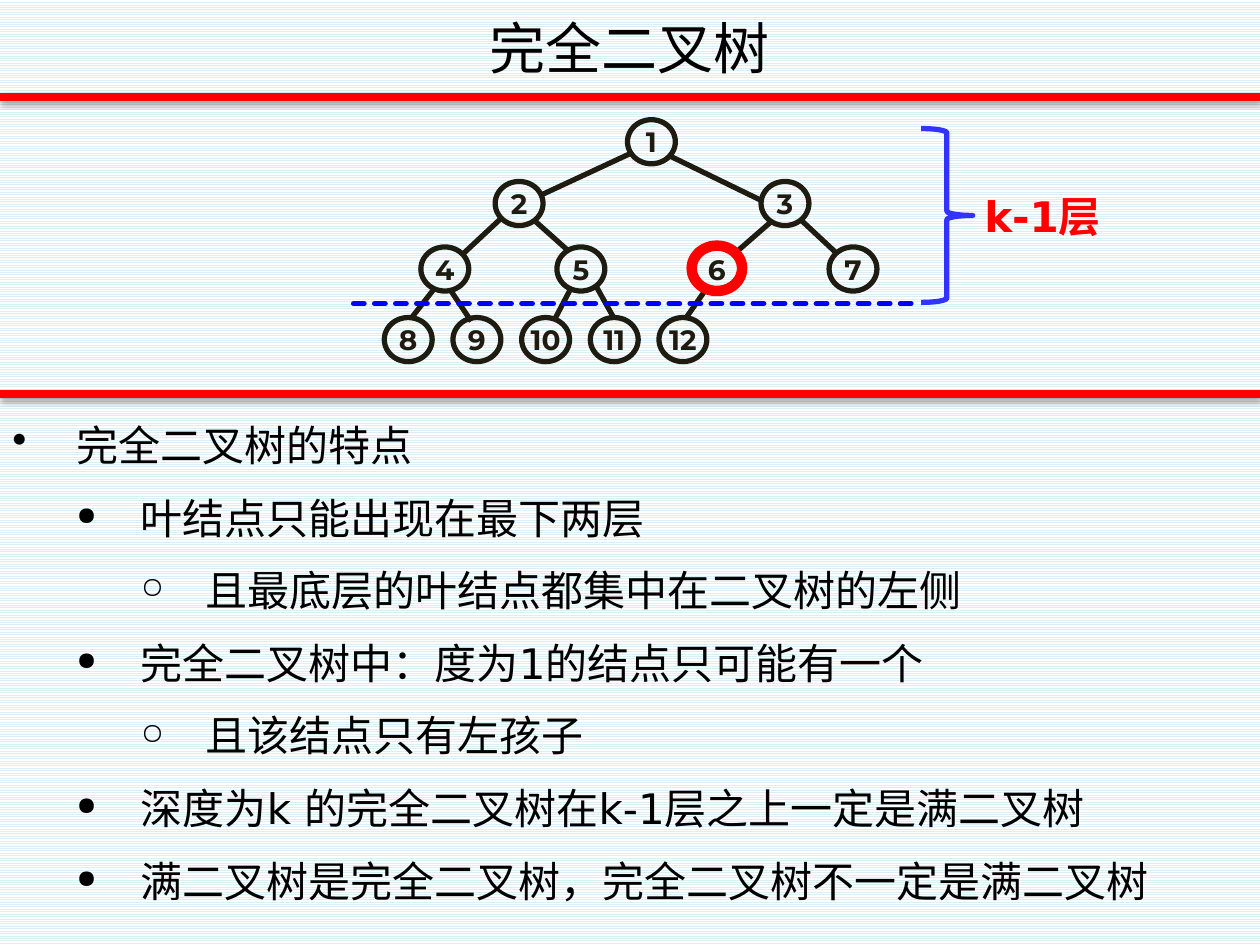
"""Build a slide on the complete binary tree."""
from dataclasses import dataclass
from typing import Any

from lxml import etree
from pptx import Presentation
from pptx.dml.color import RGBColor
from pptx.enum.dml import MSO_LINE_DASH_STYLE, MSO_PATTERN_TYPE
from pptx.enum.shapes import MSO_CONNECTOR, MSO_SHAPE
from pptx.enum.text import MSO_ANCHOR, PP_ALIGN
from pptx.oxml.ns import qn
from pptx.util import Inches, Pt

COLS, ROWS = 100, 75
WIDTH, HEIGHT = Inches(10), Inches(7.5)
MID, TOP = MSO_ANCHOR.MIDDLE, MSO_ANCHOR.TOP
CENTER = PP_ALIGN.CENTER
OVAL, BRACE = MSO_SHAPE.OVAL, MSO_SHAPE.RIGHT_BRACE
STRAIGHT = MSO_CONNECTOR.STRAIGHT
DASH = MSO_LINE_DASH_STYLE.SQUARE_DOT
STRIPE = MSO_PATTERN_TYPE.LIGHT_HORIZONTAL
SANS, CJK, DIGIT = "DejaVu Sans", "Noto Sans CJK SC", "Montserrat"
COLORS = {
    "ink": "000000", "node": "1E1C11", "red": "FF0000", "blue": "0000FF",
    "brace": "3333FF", "stripe": "DBEEF4", "paper": "FFFFFF",
}


@dataclass(frozen=True)
class Box:
    """A place on the grid."""
    col: float
    row: float
    wide: float
    high: float

    def place(self) -> tuple[int, int, int, int]:
        """Return left, top, width and height."""
        return (*spot(self.col, self.row), *spot(self.wide, self.high))


@dataclass(frozen=True)
class Level:
    """A row of evenly spaced nodes."""
    row: float
    col: float
    step: float
    count: int


@dataclass(frozen=True)
class Edge:
    """A straight line between two grid points."""
    col: float
    row: float
    to_col: float
    to_row: float


@dataclass(frozen=True)
class Style:
    """The look of a text."""
    face: str
    size: float
    color: str = "ink"
    bold: bool = False


@dataclass(frozen=True)
class Bullet:
    """The mark and depth of a list item."""
    mark: str
    share: int
    depth: int


HEAD = Bullet("•", 100, 1)
ITEM = Bullet("●", 60, 2)
SUB = Bullet("○", 70, 3)
POINTS = [
    (HEAD, "完全二叉树的特点"),
    (ITEM, "叶结点只能出现在最下两层"),
    (SUB, "且最底层的叶结点都集中在二叉树的左侧"),
    (ITEM, "完全二叉树中：度为1的结点只可能有一个"),
    (SUB, "且该结点只有左孩子"),
    (ITEM, "深度为k 的完全二叉树在k-1层之上一定是满二叉树"),
    (ITEM, "满二叉树是完全二叉树，完全二叉树不一定是满二叉树"),
]
LEVELS = [
    Level(9.5, 49.8, 0, 1),
    Level(14.4, 39.3, 21.1, 2),
    Level(19.6, 33.4, 10.8, 4),
    Level(25.2, 30.5, 5.45, 5),
]
EDGES = [
    Edge(50, 12.2, 42.9, 15.5), Edge(53, 12.3, 60.4, 15.9),
    Edge(39.7, 17.4, 36.7, 20.2), Edge(42.3, 17.4, 45.1, 19.9),
    Edge(61.2, 17.6, 58.1, 20.3), Edge(63.5, 17.4, 66.4, 20.1),
    Edge(34.4, 23, 32.6, 25.3), Edge(35.8, 23.1, 37.4, 25.5),
    Edge(45.2, 23.1, 44.1, 25.2), Edge(47.3, 22.7, 48.7, 25.2),
    Edge(56, 23, 54.4, 25.3),
]


def spot(col: float, row: float) -> tuple[int, int]:
    """Turn grid units into slide lengths."""
    return round(col * WIDTH / COLS), round(row * HEIGHT / ROWS)


def tint(name: str) -> RGBColor:
    """Look up a colour."""
    return RGBColor.from_string(COLORS[name])


def style_text(para: Any, look: Style) -> None:
    """Format every run of a paragraph."""
    for run in para.runs:
        font = run.font
        font.name, font.size, font.bold = look.face, Pt(look.size), look.bold
        font.color.rgb = tint(look.color)
        east = etree.SubElement(run._r.get_or_add_rPr(), qn("a:ea"))
        east.set("typeface", look.face)


def add_text(shapes: Any, box: Box, text: str, look: Style, anchor: Any) -> None:
    """Add a centred text box."""
    frame = shapes.add_textbox(*box.place()).text_frame
    frame.word_wrap, frame.vertical_anchor = True, anchor
    frame.text = text
    frame.paragraphs[0].alignment = CENTER
    style_text(frame.paragraphs[0], look)


def add_shape(shapes: Any, kind: Any, box: Box, color: str, width: float) -> Any:
    """Add an unfilled outline shape."""
    shape = shapes.add_shape(kind, *box.place())
    shape.shadow.inherit = False
    shape.fill.background()
    shape.line.color.rgb, shape.line.width = tint(color), Pt(width)
    return shape


def add_line(shapes: Any, edge: Edge, color: str, width: float) -> Any:
    """Add a line with no shadow."""
    line = shapes.add_connector(
        STRAIGHT, *spot(edge.col, edge.row), *spot(edge.to_col, edge.to_row))
    line.line.color.rgb, line.line.width = tint(color), Pt(width)
    etree.SubElement(line._element.spPr, qn("a:effectLst"))
    return line


def add_rule(shapes: Any, edge: Edge) -> None:
    """Add a thick red line with a soft shadow."""
    line = add_line(shapes, edge, "red", 4.5)
    glow = etree.SubElement(
        line._element.spPr.find(qn("a:effectLst")), qn("a:outerShdw"),
        blurRad=str(Pt(3.1)), dist=str(Pt(1.8)), dir="5400000", rotWithShape="0")
    shade = etree.SubElement(glow, qn("a:srgbClr"), val=COLORS["ink"])
    etree.SubElement(shade, qn("a:alpha"), val="35000")


def add_node(shapes: Any, col: float, row: float, text: str) -> None:
    """Add a numbered tree node."""
    frame = add_shape(shapes, OVAL, Box(col, row, 3.8, 3.5), "node", 3).text_frame
    frame.word_wrap, frame.vertical_anchor = False, MID
    frame.text = text
    frame.paragraphs[0].alignment = CENTER
    style_text(frame.paragraphs[0], Style(DIGIT, 16, "node", True))


def add_tree(shapes: Any) -> None:
    """Add all nodes and edges as a group."""
    tree = shapes.add_group_shape().shapes
    label = 1
    for level in LEVELS:
        for pos in range(level.count):
            add_node(tree, level.col + pos * level.step, level.row, str(label))
            label += 1
    for edge in EDGES:
        add_line(tree, edge, "node", 3)


def add_list(shapes: Any, box: Box) -> None:
    """Add the bulleted list."""
    frame = shapes.add_textbox(*box.place()).text_frame
    frame.word_wrap = True
    frame.text = "\n".join(text for _, text in POINTS)
    for pos, (para, (dot, _)) in enumerate(zip(frame.paragraphs, POINTS)):
        props = para._p.get_or_add_pPr()
        props.set("marL", str(Inches(0.51 * dot.depth)))
        props.set("indent", str(-Inches(0.51)))
        shade = etree.SubElement(props, qn("a:buClr"))
        etree.SubElement(shade, qn("a:srgbClr"), val=COLORS["ink"])
        etree.SubElement(props, qn("a:buSzPct"), val=str(dot.share * 1000))
        etree.SubElement(props, qn("a:buChar"), char=dot.mark)
        para.line_spacing, para.space_before = 1.4, Pt(1.2 if pos else 0)
        style_text(para, Style(SANS, 24))


def main() -> None:
    """Draw the slide and save it."""
    deck = Presentation()
    deck.slide_width, deck.slide_height = WIDTH, HEIGHT
    slide = deck.slides.add_slide(deck.slide_layouts[6])
    fill = slide.background.fill
    fill.patterned()
    fill.pattern = STRIPE
    fill.fore_color.rgb, fill.back_color.rgb = tint("stripe"), tint("paper")
    shapes = slide.shapes
    add_rule(shapes, Edge(0, 7.7, COLS, 7.7))
    add_list(shapes, Box(0, 31.2, COLS, 43.7))
    add_text(shapes, Box(0, 0.5, COLS, 6.5), "完全二叉树", Style(CJK, 32), MID)
    add_tree(shapes)
    add_rule(shapes, Edge(0, 31.3, COLS, 31.3))
    add_shape(shapes, OVAL, Box(54.9, 19.5, 4, 3.6), "red", 6)
    cut = add_line(shapes, Edge(72.3, 24.1, 27.9, 24.1), "blue", 3)
    cut.line.dash_style = DASH
    cut._element.spPr.find(qn("a:ln")).set("cap", "rnd")
    note = shapes.add_group_shape().shapes
    add_shape(note, BRACE, Box(73.1, 10.2, 4.1, 13.8), "brace", 3)
    add_text(note, Box(75.6, 14.6, 14.3, 5), "k-1层", Style(SANS, 24, "red", True), TOP)
    deck.save("out.pptx")


if __name__ == "__main__":
    main()
